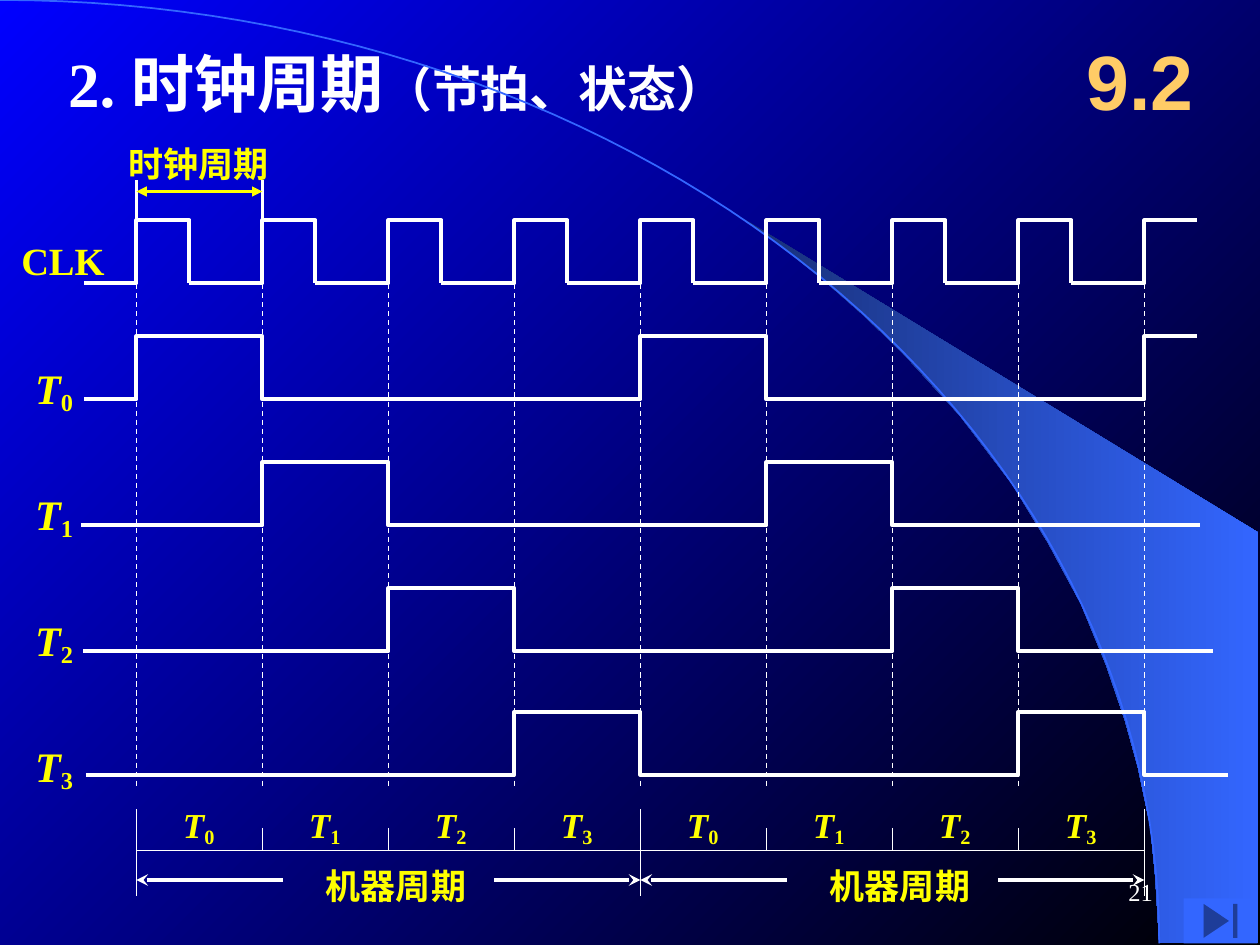
import math

import pptx
import pptx.dml.color
import pptx.enum.dml
import pptx.enum.shapes
import pptx.enum.text
import pptx.oxml
import pptx.oxml.ns
import pptx.util

Cm, Pt = pptx.util.Cm, pptx.util.Pt
TEXT = pptx.enum.text
COLORS = {"white": "FFFFFF", "yellow": "FFFF00", "orange": "FFCC66", "blue": "0000FF",
          "black": "000000", "sky": "3366FF", "navy": "182F76"}
SERIF = "Times New Roman"

# Content: text, size in points
TITLE = [("2. 时钟周期", 36), ("（节拍、状态）", 28)]
SECTION, PAGE_NUMBER = "9.2", "21"
CLOCK, CLOCK_PERIOD, MACHINE_PERIOD = "CLK", "时钟周期", "机器周期"
BEATS = ["0", "1", "2", "3"]

# Geometry in cm: one clock period is one step of the time axis
STEP, ORIGIN, PERIODS = 2.54, 2.75, 8
PULSE_HEIGHT, PULSE_WIDTH = 1.27, 1.07
CLOCK_TOP = 4.44
# Per beat: top of the pulse, start and end of the trace
TRACES = [(6.78, 1.7, 24.13), (9.32, 1.63, 24.2), (11.86, 1.68, 24.45), (14.35, 1.73, 24.75)]
AXIS_Y, ARROW_Y = 17.14, 17.74
ARC_WIDTH, ARC_HEIGHT = 23.37, 19.02
BEAM = [(23.37, 19.02), (25.37, 19.02), (25.37, 10.74), (14.96, 4.39), (15.85, 5.05),
        (16.59, 5.64), (17.4, 6.35), (18.19, 7.11), (19.35, 8.38), (20.4, 9.75),
        (21.13, 10.95), (21.79, 12.17), (22.3, 13.41), (22.68, 14.53), (22.94, 15.47),
        (23.19, 16.66), (23.29, 17.68)]


def color(name):
    return pptx.dml.color.RGBColor.from_string(COLORS[name])


def time_x(period):
    return ORIGIN + STEP * period


def set_gradient(fill, first, last, angle):
    fill.gradient()
    fill.gradient_angle = angle
    for stop, name in zip(fill.gradient_stops, (first, last)):
        stop.color.rgb = color(name)


def add_outline(points, line=None, width=2.25, close=False):
    (first_x, first_y), *rest = [(Cm(x), Cm(y)) for x, y in points]
    builder = page.shapes.build_freeform(first_x, first_y)
    builder.add_line_segments(rest, close=close)
    shape = builder.convert_to_shape()
    shape.shadow.inherit = False
    shape.fill.background()
    if line:
        shape.line.color.rgb = color(line)
        shape.line.width = Pt(width)
    else:
        shape.line.fill.background()
    return shape


def add_line(x1, y1, x2, y2, width=0.75, name="white", dash=False, head=None, tail=None):
    line = page.shapes.add_connector(pptx.enum.shapes.MSO_CONNECTOR.STRAIGHT,
                                     Cm(x1), Cm(y1), Cm(x2), Cm(y2))
    line.line.color.rgb = color(name)
    line.line.width = Pt(width)
    if dash:
        line.line.dash_style = pptx.enum.dml.MSO_LINE.DASH
    outline = line.line._get_or_add_ln()
    for tag, kind in (("a:headEnd", head), ("a:tailEnd", tail)):
        if kind:
            end = pptx.oxml.parse_xml(f"<{tag} {pptx.oxml.ns.nsdecls('a')} type='{kind}'/>")
            outline.append(end)
    effects = pptx.oxml.parse_xml(f"<a:effectLst {pptx.oxml.ns.nsdecls('a')}/>")
    line._element.spPr.append(effects)


def add_span(para, text, size, name="yellow", font=SERIF, bold=True):
    span = para.add_run()
    span.text = text
    span.font.size, span.font.name, span.font.bold = Pt(size), font, bold
    span.font.color.rgb = color(name)
    return span


def add_box(left, top, width, height, wrap=False, align=TEXT.PP_ALIGN.LEFT):
    box = page.shapes.add_textbox(Cm(left), Cm(top), Cm(width), Cm(height))
    box.text_frame.word_wrap = wrap
    if wrap:
        box.text_frame.vertical_anchor = TEXT.MSO_ANCHOR.MIDDLE
    para = box.text_frame.paragraphs[0]
    para.alignment = align
    return para


def add_beat(left, top, beat, size):
    # Wide enough to keep the letter and its index on one line
    para = add_box(left, top, 1.6, 1.3)
    add_span(para, "T", size).font.italic = True
    index = add_span(para, beat, size)
    index._r.get_or_add_rPr().set("baseline", "-15000")


deck = pptx.Presentation()
deck.slide_width, deck.slide_height = Cm(25.4), Cm(19.05)
page = deck.slides.add_slide(deck.slide_layouts[5])

# Background with beam and arc
set_gradient(page.background.fill, "blue", "black", 315)
beam = add_outline(BEAM, close=True)
set_gradient(beam.fill, "navy", "sky", 0)
angles = [math.pi / 2 * i / 60 for i in range(61)]
add_outline([(ARC_WIDTH * math.sin(a), ARC_HEIGHT * (1 - math.cos(a))) for a in angles],
            "sky", 1)

# Title, section and page number
title = page.shapes.title
title.left, title.top, title.width, title.height = Cm(1.12), Cm(0.76), Cm(14.35), Cm(1.78)
frame = title.text_frame
frame.auto_size, frame.word_wrap = TEXT.MSO_AUTO_SIZE.NONE, False
frame.vertical_anchor = TEXT.MSO_ANCHOR.TOP
frame.paragraphs[0].alignment = TEXT.PP_ALIGN.LEFT
for text, size in TITLE:
    add_span(frame.paragraphs[0], text, size, "white")
add_span(add_box(21.39, 0.43, 3.18, 2.34, True, TEXT.PP_ALIGN.CENTER),
         SECTION, 44, "orange", "Arial")
add_span(add_box(18.21, 17.35, 5.28, 1.27, True, TEXT.PP_ALIGN.RIGHT),
         PAGE_NUMBER, 14, "white", bold=False)

# Clock trace, one outline per pulse, and the dashed time grid
add_span(add_box(0.18, 4.65, 2.18, 1.19), CLOCK, 22)
clock_low = CLOCK_TOP + PULSE_HEIGHT
for period in range(PERIODS + 1):
    x = time_x(period)
    start = x - STEP + PULSE_WIDTH if period else TRACES[0][1]
    pulse = [(start, clock_low), (x, clock_low), (x, CLOCK_TOP), (x + PULSE_WIDTH, CLOCK_TOP)]
    if period < PERIODS:
        pulse.append((x + PULSE_WIDTH, clock_low))
    add_outline(pulse, "white")
    add_line(x, 5, x, 15.88, dash=True)

# Beat traces: each beat is high once in every four periods
for number, (beat, (top, start, end)) in enumerate(zip(BEATS, TRACES)):
    low = top + PULSE_HEIGHT
    points = [(start, low)]
    for period in range(number, PERIODS + 1, len(BEATS)):
        rise, fall = time_x(period), time_x(period + 1)
        points += [(rise, low), (rise, top)]
        if period < PERIODS:
            points += [(fall, top), (fall, low)]
    points.append((end, points[-1][1]))
    add_outline(points, "white")
    add_beat(0.46, 7.19 + STEP * number, beat, 24)

# Clock period dimension
for period in (0, 1):
    add_line(time_x(period), 3.63, time_x(period), 4.5, 1.5)
add_line(time_x(0), 3.86, time_x(1), 3.86, 1.5, "yellow", head="triangle", tail="triangle")
add_span(add_box(2.34, 2.74, 3.33, 1.12), CLOCK_PERIOD, 20)

# Beat axis with long ticks at machine periods
add_line(time_x(0), AXIS_Y, time_x(PERIODS), AXIS_Y)
for period in range(PERIODS + 1):
    x = time_x(period)
    top, bottom = (16.31, 18.06) if period % len(BEATS) == 0 else (16.69, AXIS_Y)
    add_line(x, top, x, bottom)
    if period < PERIODS:
        add_beat(x + 0.69, 16.08, BEATS[period % len(BEATS)], 20)

# Machine period dimensions
for period in range(0, PERIODS, len(BEATS)):
    left, right = time_x(period), time_x(period + len(BEATS))
    add_line(right - 2.95, ARROW_Y, right, ARROW_Y, 2.25, tail="stealth")
    add_line(left + 2.95, ARROW_Y, left, ARROW_Y, 2.25, tail="stealth")
    add_span(add_box(left + 3.57, 17.3, 3.33, 1.12), MACHINE_PERIOD, 20)

# Navigation button
button = page.shapes.add_shape(pptx.enum.shapes.MSO_SHAPE.ACTION_BUTTON_END,
                               Cm(23.86), Cm(18.11), Cm(1.49), Cm(0.91))
button.shadow.inherit = False
button.fill.solid()
button.fill.fore_color.rgb = color("sky")
button.line.fill.background()

deck.save("out.pptx")
